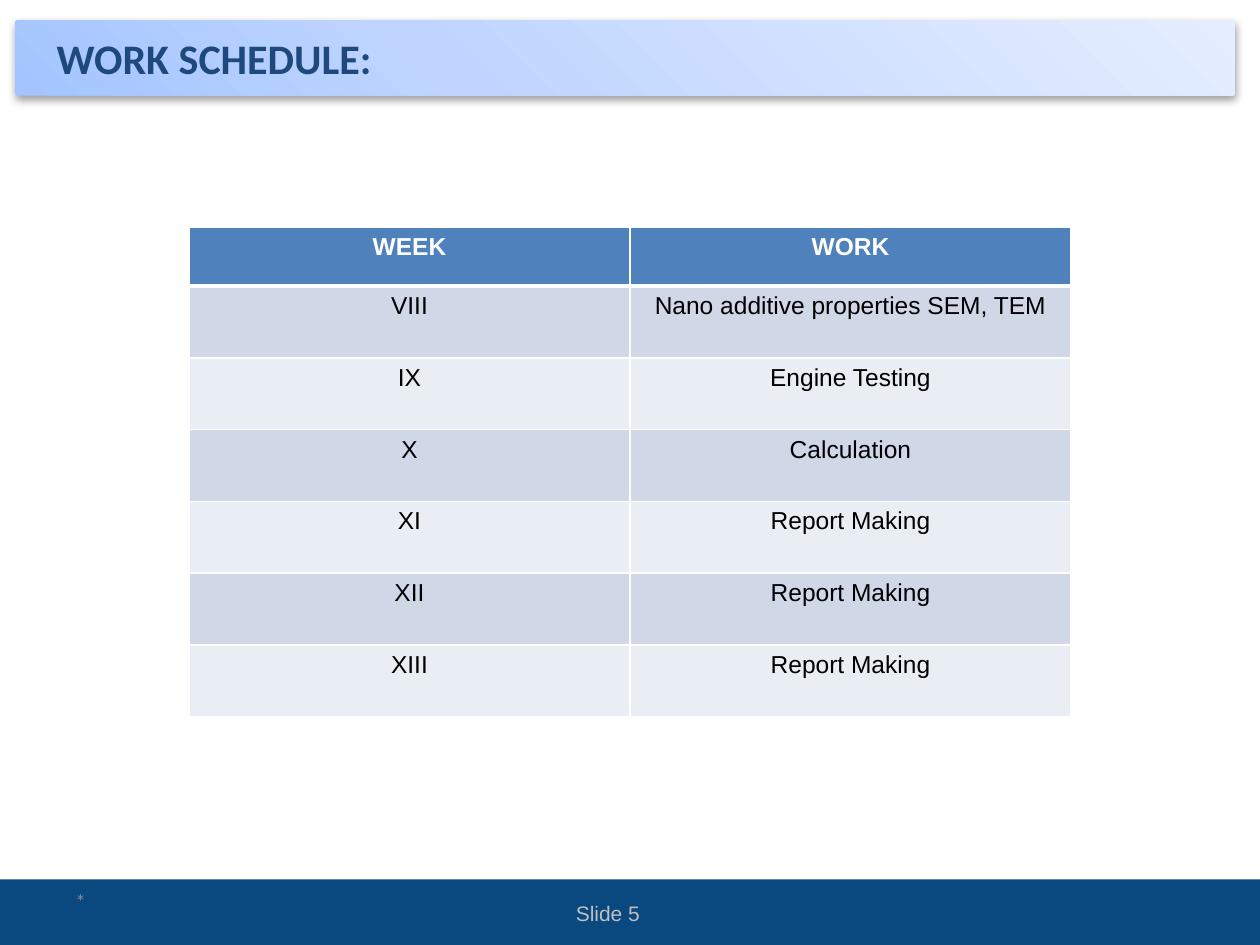
from dataclasses import dataclass
from typing import NamedTuple

from lxml.etree import SubElement
from pptx import Presentation
from pptx.dml.color import RGBColor
from pptx.enum.shapes import MSO_SHAPE
from pptx.enum.text import MSO_ANCHOR, MSO_AUTO_SIZE, PP_ALIGN
from pptx.oxml.ns import qn
from pptx.util import Inches, Pt


@dataclass(frozen=True)
class Theme:
    navy: str = "0A4880"
    title: str = "1F497D"
    head: str = "4F81BD"
    bands: tuple = ("D0D8E8", "E9EDF4")
    white: str = "FFFFFF"
    black: str = "000000"
    page: str = "BFBFBF"
    date: str = "898989"
    fade: tuple = ((0, "A3C4FF"), (35, "BFD5FF"), (100, "E5EEFF"))
    sans: str = "Arial"
    serif: str = "Calibri"
    big: int = 24
    mid: int = 14
    small: int = 12


class Box(NamedTuple):
    left: float
    top: float
    width: float
    height: float

    def sizes(self) -> list:
        return [Inches(v) for v in self]


class Style(NamedTuple):
    font: str
    size: int
    color: str
    bold: bool = False
    align: PP_ALIGN = PP_ALIGN.LEFT


class Label(NamedTuple):
    text: str
    box: Box
    style: Style


THEME = Theme()
TITLE = Label("WORK SCHEDULE:", Box(0.35, 0.21, 4.4, 0.5),
              Style(THEME.serif, THEME.big, THEME.title, True))
FOOT = (
    Label("Slide 5", Box(3.66, 7.05, 2.33, 0.4),
          Style(THEME.sans, THEME.small, THEME.page, align=PP_ALIGN.CENTER)),
    Label("*", Box(0.5, 6.95, 2.33, 0.4),
          Style(THEME.serif, THEME.small, THEME.date)),
)
GRID = Box(1.5, 1.8, 7, 3.9)
HEAD = 0.47
ROWS = (
    ("WEEK", "WORK"),
    ("VIII", "Nano additive properties SEM, TEM"),
    ("IX", "Engine Testing"),
    ("X", "Calculation"),
    ("XI", "Report Making"),
    ("XII", "Report Making"),
    ("XIII", "Report Making"),
)


def write(frame, text: str, style: Style) -> None:
    para = frame.paragraphs[0]
    para.alignment = style.align
    run = para.add_run()
    run.text = text
    font = run.font
    font.name, font.size, font.bold = style.font, Pt(style.size), style.bold
    font.color.rgb = RGBColor.from_string(style.color)


def paint(fill, color: str) -> None:
    fill.solid()
    fill.fore_color.rgb = RGBColor.from_string(color)


def node(base, tag: str, **attrs):
    return SubElement(base, qn(tag), {k: str(v) for k, v in attrs.items()})


def add_bar(slide, kind: MSO_SHAPE, box: Box):
    bar = slide.shapes.add_shape(kind, *box.sizes())
    bar.shadow.inherit = False
    bar.line.fill.background()
    return bar


def add_banner(slide, box: Box) -> None:
    bar = add_bar(slide, MSO_SHAPE.ROUNDED_RECTANGLE, box)
    bar.adjustments[0] = 0.038
    props = bar.element.spPr
    grad = node(props, "a:gradFill", rotWithShape=1)
    stops = node(grad, "a:gsLst")
    for place, color in THEME.fade:
        stop = node(stops, "a:gs", pos=place * 1000)
        node(stop, "a:srgbClr", val=color)
    node(grad, "a:lin", ang=315 * 60000, scaled=0)
    props.find(qn("a:prstGeom")).addnext(grad)
    shade = node(props.find(qn("a:effectLst")), "a:outerShdw", blurRad=Pt(5),
                 dist=Pt(1.6), dir=90 * 60000, rotWithShape=0)
    tint = node(shade, "a:srgbClr", val=THEME.black)
    node(tint, "a:alpha", val=38000)


def add_title(slide, label: Label) -> None:
    title = slide.shapes.title
    title.left, title.top, title.width, title.height = label.box.sizes()
    set_text(title.text_frame, label)
    tree = title.element.getparent()
    tree.append(title.element)


def add_label(slide, label: Label) -> None:
    set_text(slide.shapes.add_textbox(*label.box.sizes()).text_frame, label)


def set_text(frame, label: Label) -> None:
    frame.word_wrap = True
    frame.auto_size = MSO_AUTO_SIZE.NONE
    frame.vertical_anchor = MSO_ANCHOR.MIDDLE
    write(frame, label.text, label.style)


def add_edges(cell, top: int, base: int) -> None:
    props = cell._tc.get_or_add_tcPr()
    for side, width in (("L", 1), ("R", 1), ("T", top), ("B", base)):
        line = node(props, f"a:ln{side}", w=Pt(width))
        node(node(line, "a:solidFill"), "a:srgbClr", val=THEME.white)


def add_grid(slide, box: Box) -> None:
    table = slide.shapes.add_table(len(ROWS), len(ROWS[0]), *box.sizes()).table
    step = round((box.height - HEAD) / (len(ROWS) - 1), 2)
    for i, row in enumerate(ROWS):
        first = i == 0
        table.rows[i].height = Inches(HEAD if first else step)
        color = THEME.head if first else THEME.bands[(i - 1) % 2]
        ink = THEME.white if first else THEME.black
        style = Style(THEME.sans, THEME.mid, ink, first, PP_ALIGN.CENTER)
        for j, text in enumerate(row):
            cell = table.cell(i, j)
            add_edges(cell, 3 if i == 1 else 1, 3 if first else 1)
            paint(cell.fill, color)
            write(cell.text_frame, text, style)


def main() -> None:
    deck = Presentation()
    deck.slide_width, deck.slide_height = Inches(10), Inches(7.5)
    slide = deck.slides.add_slide(deck.slide_layouts[5])
    paint(slide.background.fill, THEME.white)
    strip = add_bar(slide, MSO_SHAPE.RECTANGLE, Box(0, 6.98, 10, 0.52))
    paint(strip.fill, THEME.navy)
    add_banner(slide, Box(0.12, 0.16, 9.68, 0.6))
    add_title(slide, TITLE)
    for label in FOOT:
        add_label(slide, label)
    add_grid(slide, GRID)
    deck.save("out.pptx")


if __name__ == "__main__":
    main()
